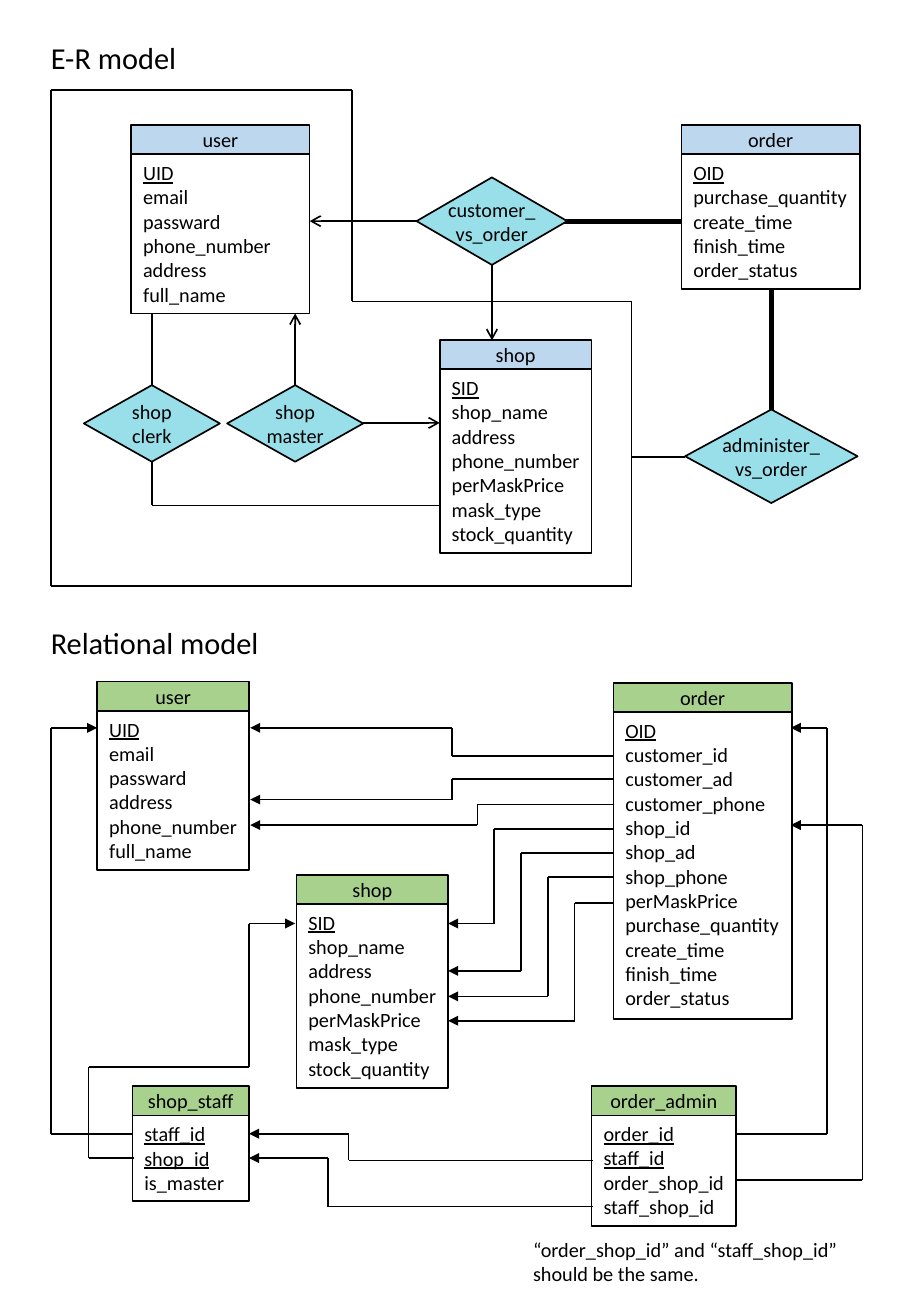
import itertools
from dataclasses import dataclass

import pptx
import pptx.dml.color
import pptx.enum.shapes
import pptx.enum.text
import pptx.oxml
import pptx.oxml.ns
import pptx.util

BLACK = pptx.dml.color.RGBColor(0x00, 0x00, 0x00)
WHITE = pptx.dml.color.RGBColor(0xFF, 0xFF, 0xFF)
BLUE = pptx.dml.color.RGBColor(0xBD, 0xD7, 0xEE)
GREEN = pptx.dml.color.RGBColor(0xA9, 0xD1, 0x8E)
AQUA = pptx.dml.color.RGBColor(0x98, 0xDF, 0xEA)

FONT = "Calibri"
CELL = 0.1
HEADER_ROWS = 2.4
FIELD_ROWS = 2.02
PADDING_ROWS = 1

RECTANGLE = pptx.enum.shapes.MSO_SHAPE.RECTANGLE
DIAMOND = pptx.enum.shapes.MSO_SHAPE.DIAMOND
TOP = pptx.enum.text.MSO_ANCHOR.TOP
MIDDLE = pptx.enum.text.MSO_ANCHOR.MIDDLE
LEFT = pptx.enum.text.PP_ALIGN.LEFT
CENTER = pptx.enum.text.PP_ALIGN.CENTER


@dataclass
class Region:
    page: object
    left: float
    top: float

    def place(self, column, row):
        return (pptx.util.Inches(self.left + column * CELL),
                pptx.util.Inches(self.top + row * CELL))

    def frame(self, column, row, columns, rows):
        size = [pptx.util.Inches(cells * CELL) for cells in (columns, rows)]
        return *self.place(column, row), *size


def write(shape, text, size=12, align=LEFT, anchor=TOP, wrap=True, keys=0):
    text_frame = shape.text_frame
    text_frame.text = text
    text_frame.word_wrap = wrap
    text_frame.vertical_anchor = anchor
    for index, para in enumerate(text_frame.paragraphs):
        para.alignment = align
        for span in para.runs:
            span.font.name = FONT
            span.font.size = pptx.util.Pt(size)
            span.font.color.rgb = BLACK
            span.font.underline = index < keys


def add_label(region, box, text, size=12):
    label = region.page.shapes.add_textbox(*region.frame(*box))
    write(label, text, size, wrap=False)


def add_block(region, kind, box, fill, text, **style):
    block = region.page.shapes.add_shape(kind, *region.frame(*box))
    block.shadow.inherit = False
    block.fill.solid()
    block.fill.fore_color.rgb = fill
    block.line.color.rgb = BLACK
    block.line.width = pptx.util.Pt(1)
    write(block, text, **style)


def add_entity(region, column, row, columns, fill, name, fields, keys=1):
    names = fields.split()
    body_rows = PADDING_ROWS + FIELD_ROWS * len(names)
    add_block(region, RECTANGLE, (column, row, columns, HEADER_ROWS), fill, name,
              align=CENTER, anchor=MIDDLE)
    add_block(region, RECTANGLE, (column, row + HEADER_ROWS, columns, body_rows),
              WHITE, "\n".join(names), keys=keys)


def add_route(region, points, arrow=None, weight=1):
    for start, end in itertools.pairwise(points):
        line = region.page.shapes.add_connector(
            pptx.enum.shapes.MSO_CONNECTOR.STRAIGHT,
            *region.place(*start), *region.place(*end))
        line.line.color.rgb = BLACK
        line.line.width = pptx.util.Pt(weight)
        properties = line._element.spPr
        properties.append(pptx.oxml.parse_xml(
            f"<a:effectLst {pptx.oxml.ns.nsdecls('a')}/>"))
        if arrow and end == points[-1]:
            line.line._get_or_add_ln().append(pptx.oxml.parse_xml(
                f"<a:tailEnd {pptx.oxml.ns.nsdecls('a')} type='{arrow}'/>"))


def draw_er_model(region):
    add_label(region, (0, 0, 12.5, 4), "E-R model", 18)

    for points in (
        [(60.3, 32.1), (60.3, 21)],
        [(53, 15.5), (41.6, 15.5)],
    ):
        add_route(region, points, weight=3)
    for points in (
        [(37.3, 19), (37.3, 25.3)],
        [(26, 32.1), (33, 32.1)],
        [(21.1, 29), (21.1, 23.1)],
        [(31.1, 15.5), (22.3, 15.5)],
    ):
        add_route(region, points, "arrow")
    for points in (
        [(9.3, 23.1), (9.3, 29)],
        [(9.3, 35.3), (9.3, 38.9), (33, 38.9)],
        [(53.2, 34.9), (48.8, 34.9)],
        [(1, 4.7), (25.8, 4.7), (25.8, 22.1), (48.8, 22.1),
         (48.8, 45.5), (1, 45.5), (1, 4.7)],
    ):
        add_route(region, points)

    for column, row, columns, name, fields in (
        (7.6, 7.6, 14.7, "user",
         "UID email passward phone_number address full_name"),
        (33, 25.3, 12.5, "shop",
         "SID shop_name address phone_number perMaskPrice mask_type stock_quantity"),
        (52.9, 7.6, 14.7, "order",
         "OID purchase_quantity create_time finish_time order_status"),
    ):
        add_entity(region, column, row, columns, BLUE, name, fields)

    for box, words in (
        ((3.7, 29, 11.2, 6.3), ("shop", "clerk")),
        ((15.5, 29, 11.2, 6.3), ("shop", "master")),
        ((31.1, 11.9, 12.4, 7.2), ("customer_", "vs_order")),
        ((53.2, 31, 14.2, 7.7), ("administer_", "vs_order")),
    ):
        add_block(region, DIAMOND, box, AQUA, "\v".join(words),
                  align=CENTER, anchor=MIDDLE, wrap=False)


def draw_relational_model(region):
    add_label(region, (0, 0, 19.3, 4), "Relational model", 18)

    for column, row, columns, name, fields, keys in (
        (4.8, 5.2, 12.5, "user",
         "UID email passward address phone_number full_name", 1),
        (47.3, 5.3, 14.7, "order",
         "OID customer_id customer_ad customer_phone shop_id shop_ad shop_phone "
         "perMaskPrice purchase_quantity create_time finish_time order_status", 1),
        (7.7, 38.5, 9.6, "shop_staff", "staff_id shop_id is_master", 2),
        (21.2, 21.1, 12.5, "shop",
         "SID shop_name address phone_number perMaskPrice mask_type stock_quantity", 1),
        (45.5, 38.5, 11.9, "order_admin",
         "order_id staff_id order_shop_id staff_shop_id", 2),
    ):
        add_entity(region, column, row, columns, GREEN, name, fields, keys)

    for start, start_row, bend, end_row, end in (
        (57.5, 42.4, 64.9, 9, 61.9),
        (57.5, 46.2, 67.8, 17, 61.9),
        (7.7, 42.4, 1, 9, 4.8),
        (45.6, 48.4, 23.8, 44.4, 17.3),
        (45.6, 44.6, 25.5, 42.4, 17.3),
        (47.3, 11.3, 34, 9, 17.4),
        (47.3, 13.2, 34, 14.9, 17.4),
        (47.3, 15.3, 36.1, 17, 17.4),
        (47.3, 17.3, 37.5, 25.1, 33.7),
        (47.3, 19.3, 39.7, 29, 33.7),
        (47.3, 21.3, 41.9, 31.1, 33.7),
        (47.3, 23.4, 44.1, 33.1, 33.7),
    ):
        add_route(region, [(start, start_row), (bend, start_row),
                           (bend, end_row), (end, end_row)], "triangle")
    add_route(region, [(7.8, 44.4), (4.1, 44.4), (4.1, 36.9), (17.3, 36.9),
                       (17.3, 25.1), (21.1, 25.1)], "triangle")

    add_label(region, (39.7, 50.4, 27.3, 5),
              "“order_shop_id” and “staff_shop_id”\nshould be the same.")


def main():
    deck = pptx.Presentation()
    deck.slide_width = pptx.util.Inches(7.5)
    deck.slide_height = pptx.util.Inches(10.83)
    page = deck.slides.add_slide(deck.slide_layouts[6])
    draw_er_model(Region(page, 0.32, 0.27))
    draw_relational_model(Region(page, 0.32, 5.09))
    deck.save("out.pptx")


if __name__ == "__main__":
    main()
